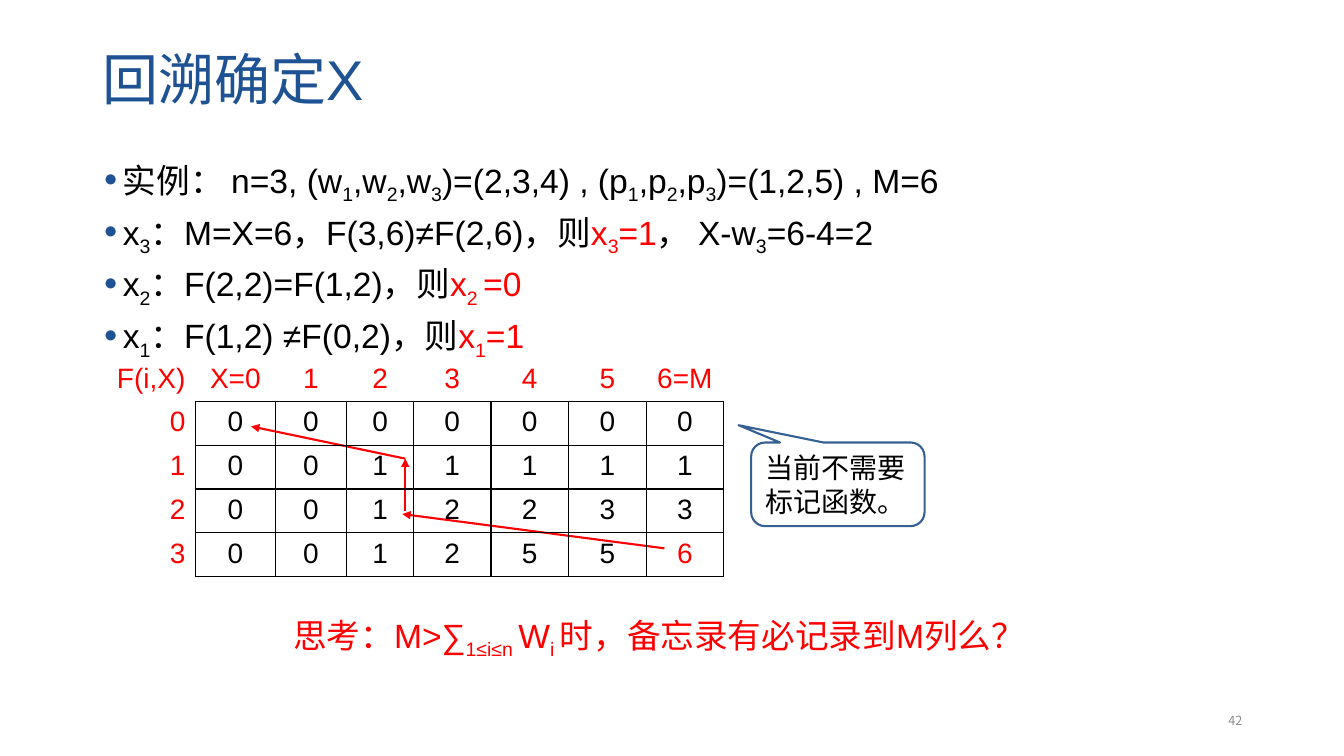
import pptx
import pptx.dml.color
import pptx.enum.shapes
import pptx.enum.text
import pptx.oxml.ns
import pptx.util
from lxml import etree
from pptx.util import Inches

LATIN, CHINESE = "Arial", "Noto Sans CJK SC"
BLUE, RED, BLACK, WHITE, GREY = "1E5293", "FF0000", "000000", "FFFFFF", "8C8C8C"
ALIGN = pptx.enum.text.PP_ALIGN
MIDDLE = pptx.enum.text.MSO_ANCHOR.MIDDLE

# "|" switches between normal text and subscript
BULLETS = [
    [("实例： n=3, (w|1|,w|2|,w|3|)=(2,3,4) , (p|1|,p|2|,p|3|)=(1,2,5) , M=6", BLACK)],
    [("x|3|：M=X=6，F(3,6)≠F(2,6)，则", BLACK), ("x|3|=1", RED), ("， X-w|3|=6-4=2", BLACK)],
    [("x|2|：F(2,2)=F(1,2)，则", BLACK), ("x|2 |=0", RED)],
    [("x|1|：F(1,2) ≠F(0,2)，则", BLACK), ("x|1|=1", RED)],
]
TABLE_ROWS = [
    ["F(i,X)", "X=0", "1", "2", "3", "4", "5", "6=M"],
    ["0", "0", "0", "0", "0", "0", "0", "0"],
    ["1", "0", "0", "1", "1", "1", "1", "1"],
    ["2", "0", "0", "1", "2", "2", "3", "3"],
    ["3", "0", "0", "1", "2", "5", "5", "6"],
]
COLUMN_WIDTHS = [0.92, 0.79, 0.71, 0.66, 0.77, 0.77, 0.77, 0.77]
ROW_HEIGHT = 0.434
TRACE_ARROWS = [
    (6.59, 5.44, 3.99, 5.1),
    (4.02, 5.07, 4.02, 4.55),
    (4.02, 4.55, 2.49, 4.23),
]


def rgb(colour):
    return pptx.dml.color.RGBColor.from_string(colour)


def add_element(parent, tag, **attributes):
    return etree.SubElement(parent, pptx.oxml.ns.qn(tag), attributes)


def add_runs(paragraph, text, size, colour, latin=LATIN):
    for index, piece in enumerate(text.split("|")):
        run = paragraph.add_run()
        run.text = piece
        font = run.font
        font.size, font.name = pptx.util.Pt(size), latin
        font.color.rgb = rgb(colour)
        properties = font._element
        add_element(properties, "a:ea", typeface=CHINESE)
        if index % 2:
            properties.set("baseline", "-25000")


def add_text_box(slide, left, top, width, height):
    box = slide.shapes.add_textbox(*map(Inches, (left, top, width, height)))
    box.text_frame.word_wrap = True
    return box.text_frame


def add_bullets(slide):
    frame = add_text_box(slide, 0.93, 1.54, 11.1, 4.12)
    for index, segments in enumerate(BULLETS):
        paragraph = frame.add_paragraph() if index else frame.paragraphs[0]
        paragraph.line_spacing = 0.9
        if index:
            paragraph.space_before = pptx.util.Pt(7.5)
        properties = paragraph._p.get_or_add_pPr()
        properties.set("marL", str(Inches(0.19)))
        properties.set("indent", str(Inches(-0.19)))
        bullet_colour = add_element(properties, "a:buClr")
        add_element(bullet_colour, "a:srgbClr", val=BLUE)
        add_element(properties, "a:buSzPct", val="70000")
        add_element(properties, "a:buFont", typeface=LATIN)
        add_element(properties, "a:buChar", char="●")
        for text, colour in segments:
            add_runs(paragraph, text, 24, colour)


def add_arrow(slide, *ends):
    arrow = slide.shapes.add_connector(
        pptx.enum.shapes.MSO_CONNECTOR.STRAIGHT, *map(Inches, ends))
    arrow.line.color.rgb = rgb(RED)
    arrow.line.width = pptx.util.Pt(1.5)
    add_element(arrow.line._get_or_add_ln(), "a:tailEnd", type="triangle")
    add_element(arrow._element.spPr, "a:effectLst")


def add_callout(slide, text):
    callout = slide.shapes.add_shape(
        pptx.enum.shapes.MSO_SHAPE.ROUNDED_RECTANGULAR_CALLOUT,
        Inches(7.45), Inches(4.39), Inches(1.72), Inches(0.83))
    for index, value in enumerate((-0.573, -0.707, 0.167)):
        callout.adjustments[index] = value
    callout.shadow.inherit = False
    callout.fill.solid()
    callout.fill.fore_color.rgb = rgb(WHITE)
    callout.line.color.rgb = rgb("376092")
    callout.line.width = pptx.util.Pt(1.5)
    frame = callout.text_frame
    frame.word_wrap = True
    frame.vertical_anchor = MIDDLE
    frame.paragraphs[0].alignment = ALIGN.LEFT
    add_runs(frame.paragraphs[0], text, 20, BLACK, CHINESE)


def set_borders(cell, visible_sides):
    properties = cell._tc.get_or_add_tcPr()
    for side in "LRTB":
        line = add_element(properties, "a:ln" + side, w=str(pptx.util.Pt(1)))
        if side in visible_sides:
            add_element(add_element(line, "a:solidFill"), "a:srgbClr", val=BLACK)
        else:
            add_element(line, "a:noFill")


def add_value_table(slide):
    row_count, column_count = len(TABLE_ROWS), len(COLUMN_WIDTHS)
    table = slide.shapes.add_table(
        row_count, column_count, Inches(1.02), Inches(3.55),
        Inches(sum(COLUMN_WIDTHS)), Inches(ROW_HEIGHT * row_count)).table
    table.first_row = table.horz_banding = False
    for column, width in zip(table.columns, COLUMN_WIDTHS):
        column.width = Inches(width)
    for row_index, values in enumerate(TABLE_ROWS):
        table.rows[row_index].height = Inches(ROW_HEIGHT)
        for column_index, value in enumerate(values):
            cell = table.cell(row_index, column_index)
            is_label = row_index == 0 or column_index == 0
            if not is_label:
                sides = "LRTB"
            elif row_index == column_index:
                sides = ""
            else:
                sides = "B" if row_index == 0 else "R"
            set_borders(cell, sides)
            cell.fill.background()
            paragraph = cell.text_frame.paragraphs[0]
            paragraph.alignment = ALIGN.CENTER if column_index else ALIGN.RIGHT
            add_runs(paragraph, value, 20, RED if is_label or value == "6" else BLACK)


def main():
    presentation = pptx.Presentation()
    presentation.slide_width, presentation.slide_height = Inches(13.33), Inches(7.5)
    slide = presentation.slides.add_slide(presentation.slide_layouts[5])

    # Title
    title = slide.shapes.title
    title.left, title.top = Inches(0.92), Inches(0.09)
    title.width, title.height = Inches(11.5), Inches(1.45)
    title.text_frame.vertical_anchor = MIDDLE
    heading = title.text_frame.paragraphs[0]
    heading.alignment, heading.line_spacing = ALIGN.LEFT, 0.9
    add_runs(heading, "回溯确定X", 40, BLUE)

    # Slide number
    number_frame = add_text_box(slide, 9.42, 6.95, 3, 0.4)
    number_frame.vertical_anchor = MIDDLE
    number_frame.paragraphs[0].alignment = ALIGN.RIGHT
    add_runs(number_frame.paragraphs[0], "42", 9, GREY, CHINESE)

    # Worked example, backtracking arrows and value table
    add_bullets(slide)
    for ends in TRACE_ARROWS:
        add_arrow(slide, *ends)
    add_value_table(slide)
    add_callout(slide, "当前不需要标记函数。")

    # Closing question
    question = add_text_box(slide, 2.81, 6.05, 7.71, 0.5).paragraphs[0]
    add_runs(question, "思考：M>∑|1≤i≤n |W|i |时，备忘录有必记录到M列么？", 24, RED)

    presentation.save("out.pptx")


if __name__ == "__main__":
    main()
